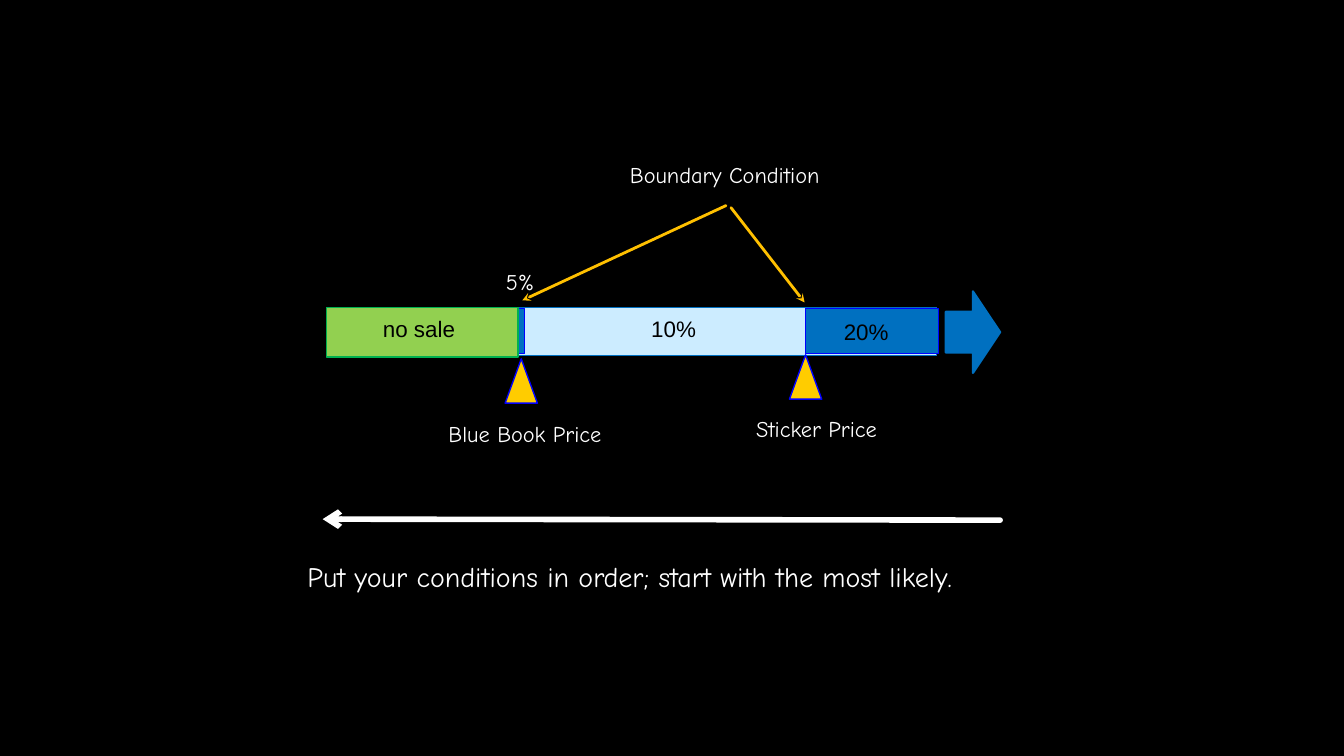
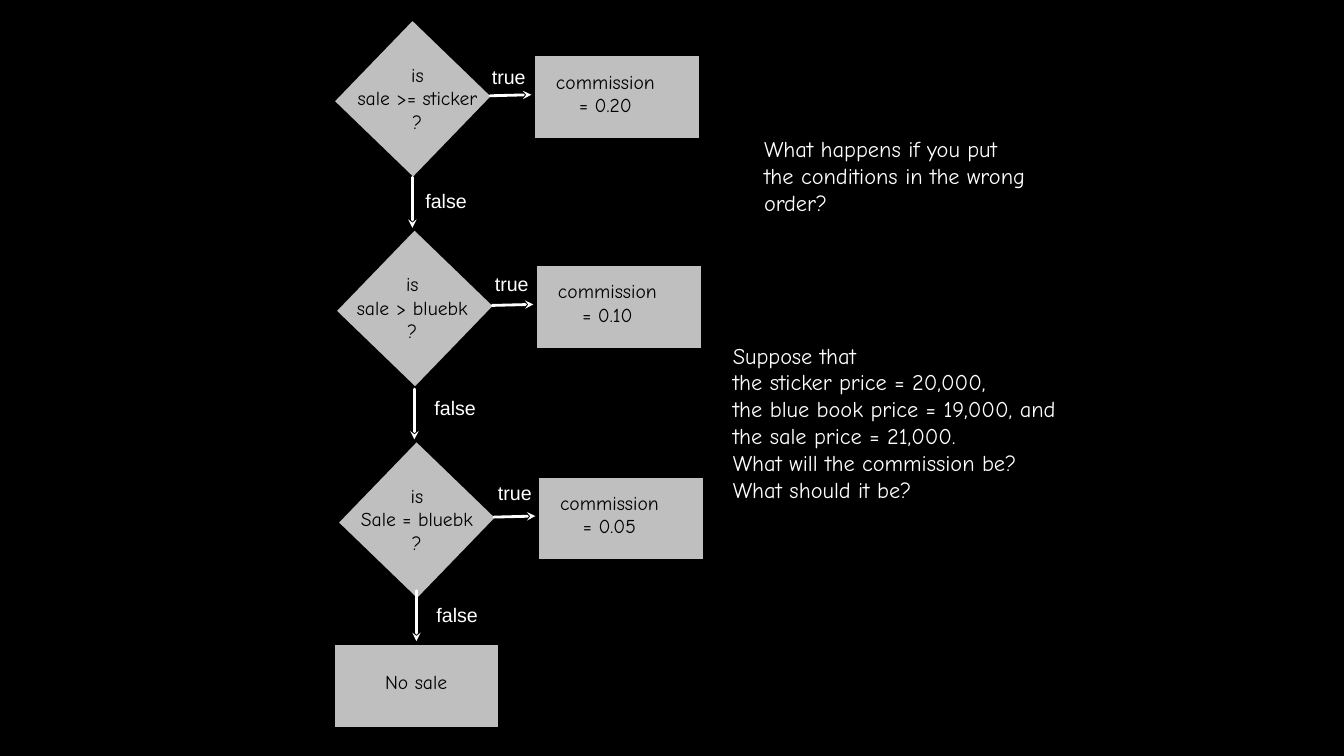
from dataclasses import dataclass

from lxml import etree
from pptx import Presentation, util as u
from pptx.dml.color import RGBColor
from pptx.enum import shapes, text
from pptx.oxml import ns


@dataclass(frozen=True)
class Theme:
    black: str = "000000"
    white: str = "FFFFFF"
    gray: str = "BFBFBF"
    blue: str = "0070C0"
    pale_blue: str = "CCECFF"
    edge_blue: str = "0000FF"
    gold: str = "FFCC00"
    amber: str = "FFC000"
    lime: str = "92D050"
    green: str = "00B050"
    hand: str = "Comic Neue"
    plain: str = "Arial"
    small: int = 14
    body: int = 16
    large: int = 20


T = Theme()
rgb = RGBColor.from_string
preset = shapes.MSO_SHAPE
left, center = text.PP_ALIGN.LEFT, text.PP_ALIGN.CENTER

prs = Presentation()
prs.slide_width, prs.slide_height = u.Inches(13.33), u.Inches(7.5)
backdrop = prs.slide_master.background.fill
backdrop.solid()
backdrop.fore_color.rgb = rgb(T.black)

# The grid has 133.3 columns and 75 rows; every place and size below counts them.
COLUMN, ROW = prs.slide_width / 133.3, prs.slide_height / 75


def to_grid(*lengths):
    """Turn alternating columns and rows into EMU."""
    return [round(n * (ROW if i % 2 else COLUMN)) for i, n in enumerate(lengths)]


# Blocks: place, preset, rotation, fill, edge, edge width
# Labels: place, lines, alignment, font, size, colour
# Arrows: start and end, colour, width, head

# Slide 1: commission rates along the price line
price_blocks = [
    ((32.5, 30.5, 60.4, 4.8), preset.RECTANGLE, 0, T.pale_blue, T.blue, 1),
    ((51.4, 30.6, 0.6, 4.5), preset.RECTANGLE, 0, T.blue, T.edge_blue, 1),
    ((79.9, 30.6, 13.2, 4.5), preset.RECTANGLE, 0, T.blue, T.edge_blue, 1),
    ((93.8, 28.9, 5.4, 8.1), preset.RIGHT_ARROW, 0, T.blue, T.blue, 1.5),
    ((32.4, 30.5, 19, 4.9), preset.RECTANGLE, 0, T.lime, T.green, 1),
]
for marker_x, marker_y in ((50.1, 35.6), (78.3, 35.2)):
    price_blocks.append(((marker_x, marker_y, 3.2, 4.4), preset.ISOSCELES_TRIANGLE,
                         0, T.gold, T.edge_blue, 1))

price_labels = [
    (place, [words], left, font, size, color)
    for font, size, color, entries in (
        (T.hand, T.body, T.white, (
            ((74, 40.7, 15.9, 3.7), "Sticker Price"),
            ((43.5, 41.2, 18, 3.7), "Blue Book Price"),
            ((49.2, 26.1, 5.3, 3.7), "5%"),
            ((61.5, 15.5, 22, 3.7), "Boundary Condition"))),
        (T.plain, T.body, T.black, (
            ((37, 30.8, 9.6, 3.7), "no sale"),
            ((63.6, 30.8, 6.5, 3.7), "10%"),
            ((82.7, 31.1, 6.5, 3.7), "20%"))),
        (T.hand, T.large, T.white, (
            ((29.5, 55, 73.3, 4.4),
             "Put your conditions in order; start with the most likely."),)),
    )
    for place, words in entries
]
price_arrows = [
    ((72.5, 20.6, 79.8, 30), T.amber, 2, "stealth"),
    ((72, 20.4, 51.8, 29.8), T.amber, 2, "stealth"),
    ((99.2, 51.6, 32, 51.5), T.white, 4, "arrow"),
]

# Slide 2: the decision flow, one step per condition
flow_blocks = [((33.1, 63.9, 16.4, 8.3), preset.RECTANGLE, 0, T.gray, T.black, 1.5)]
flow_labels = [
    ((37.2, 66, 8.8, 3.4), ["No sale"], left, T.hand, T.small, T.black),
    ((74.8, 12.9, 30.4, 9.1),
     ["What happens if you put", "the conditions in the wrong", "order?"],
     left, T.hand, T.body, T.white),
    ((71.7, 33.4, 41, 17.2),
     ["Suppose that", "the sticker price = 20,000,", "the blue book price = 19,000, and",
      "the sale price = 21,000.", "What will the commission be?", "What should it be?"],
     left, T.hand, T.body, T.white),
]
flow_arrows = []
steps = [  # condition, its width, rate, diamond top, drop top, "false" left
    ("sale >= sticker", 15, "0.20", 4.3, 17.6, 41.2),
    ("sale > bluebk", 13.6, "0.10", 25.1, 38.6, 42.1),
    ("Sale = bluebk", 14.1, "0.05", 46.1, 58.6, 42.3),
]
for i, (condition, width, rate, top, drop, false_x) in enumerate(steps):
    shift = 0.2 * i
    flow_blocks += [
        ((35.3 + shift, top, 11.3, 11), preset.RECTANGLE, 314, T.gray, T.black, 1.5),
        ((53 + shift, top + 1.2, 16.4, 8.3), preset.RECTANGLE, 0, T.gray, T.black, 1.5),
    ]
    flow_labels += [
        ((33.9 + shift, top + 1.4, width, 8.1), ["is", condition, "?"],
         center, T.hand, T.small, T.black),
        ((53.6 + shift, top + 2.1, 12.9, 5.7), ["commission", f"= {rate}"],
         center, T.hand, T.small, T.black),
        ((47.8 + 0.3 * i, top + 1.6 - 0.25 * i, 5.4, 3.4), ["true"],
         left, T.plain, T.small, T.white),
        ((false_x, 18.3 + 20.5 * i, 6.2, 3.4), ["false"],
         left, T.plain, T.small, T.white),
    ]
    flow_arrows += [
        ((48.6 + shift, top + 5.2, 52.7 + shift, top + 5.1), T.white, 2, "stealth"),
        ((40.9 + shift, drop, 40.9 + shift, drop + 5), T.white, 2, "stealth"),
    ]

for blocks, labels, arrows in ((price_blocks, price_labels, price_arrows),
                               (flow_blocks, flow_labels, flow_arrows)):
    slide = prs.slides.add_slide(prs.slide_layouts[6])

    for place, outline, rotation, fill, edge, weight in blocks:
        block = slide.shapes.add_shape(outline, *to_grid(*place))
        block.shadow.inherit = False
        block.rotation = rotation
        block.fill.solid()
        block.fill.fore_color.rgb = rgb(fill)
        block.line.color.rgb = rgb(edge)
        block.line.width = u.Pt(weight)

    for place, lines, alignment, font, size, color in labels:
        frame = slide.shapes.add_textbox(*to_grid(*place)).text_frame
        frame.word_wrap = False
        frame.auto_size = text.MSO_AUTO_SIZE.SHAPE_TO_FIT_TEXT
        frame.text = "\n".join(lines)
        for paragraph in frame.paragraphs:
            paragraph.alignment = alignment
            for run in paragraph.runs:
                for key, value in {"name": font, "size": u.Pt(size)}.items():
                    setattr(run.font, key, value)
                run.font.color.rgb = rgb(color)

    for ends, color, weight, head in arrows:
        arrow = slide.shapes.add_connector(shapes.MSO_CONNECTOR.STRAIGHT, *to_grid(*ends))
        arrow.line.color.rgb = rgb(color)
        arrow.line.width = u.Pt(weight)
        stroke = arrow.line._get_or_add_ln()
        stroke.set("cap", "rnd")
        etree.SubElement(stroke, ns.qn("a:tailEnd"), type=head)
        etree.SubElement(arrow._element.spPr, ns.qn("a:effectLst"))

prs.save("out.pptx")
